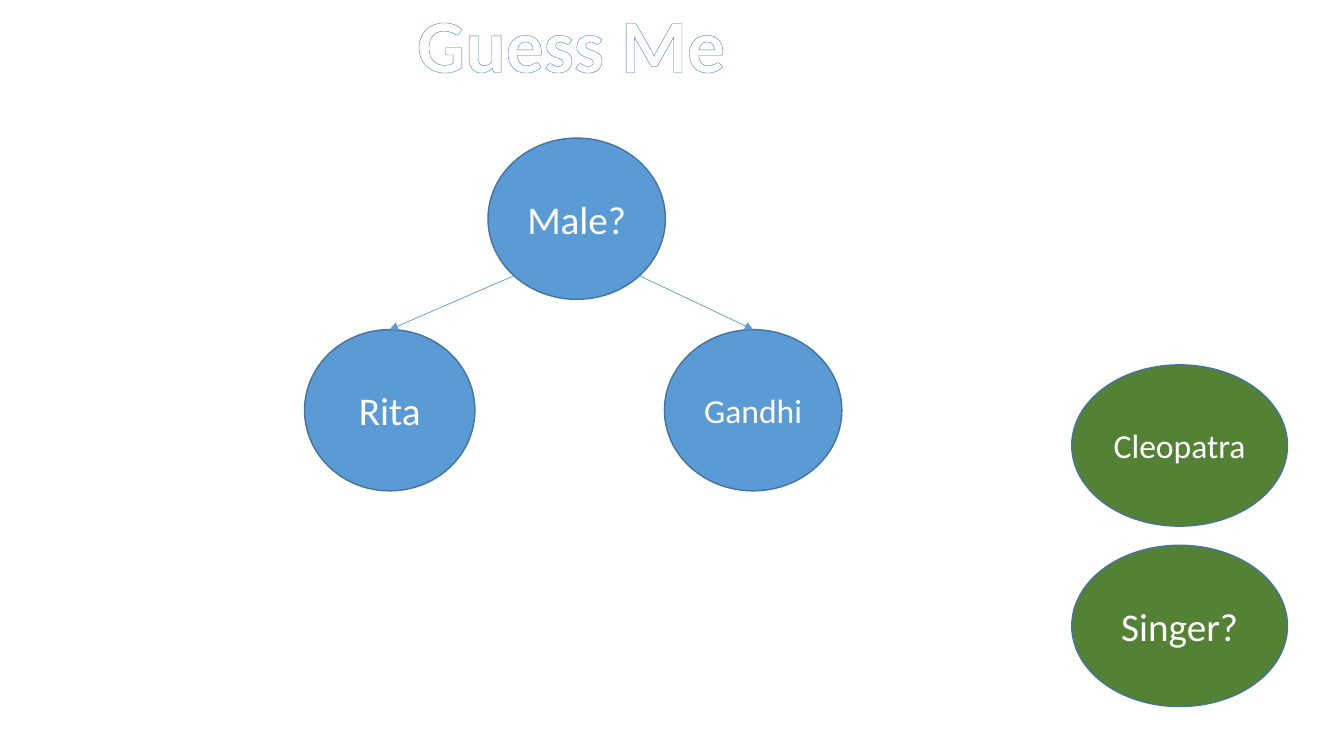
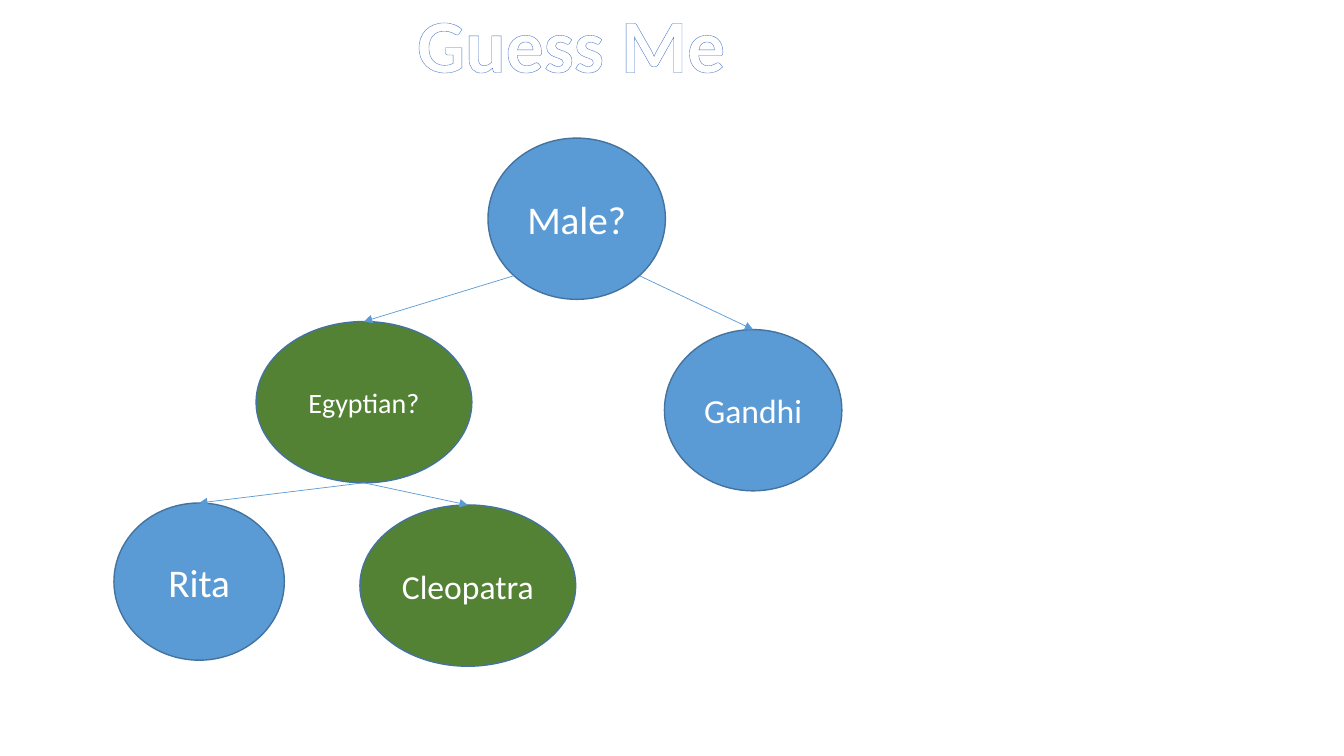
from math import sqrt
from typing import NamedTuple

from lxml.etree import SubElement
from pptx import Presentation
from pptx.dml.color import RGBColor
from pptx.enum.shapes import MSO_CONNECTOR, MSO_SHAPE
from pptx.enum.text import MSO_ANCHOR, MSO_AUTO_SIZE, PP_ALIGN
from pptx.oxml.ns import qn
from pptx.util import Pt

SCALE = 9144
PAGE_WIDTH, PAGE_HEIGHT = 1333, 750
COLOURS = {
    "answer": "5B9BD5",
    "guess": "548235",
    "rim": "43739E",
    "arrow": "5B9BD5",
    "text": "FFFFFF",
    "title_outline": "4472C4",
}
FONT = "Calibri"
TITLE_FORMAT = {"name": FONT, "size": Pt(54), "bold": True}
TITLE_OUTLINE = 10160
NODE_HEIGHT = 160
GUESS_WIDTH = 214
TRAY_GAP = 19


class Box(NamedTuple):
    """A rectangle in px."""
    left: int
    top: int
    width: int
    height: int


class Node(NamedTuple):
    """A circle of the tree, placed relative to the tree's box."""
    text: str
    size: int
    kind: str
    left: int
    top: int
    width: int
    height: int = NODE_HEIGHT


class Edge(NamedTuple):
    """An arrow from a side of one node to the top of another."""
    parent: str
    child: str
    side: str


TITLE_BOX = Box(402, -8, 329, 101)
TREE_BOX = Box(113, 137, 722, 524)
TRAY_BOX = Box(1063, 362, GUESS_WIDTH, 339)

MALE = Node("Male?", 28, "answer", 371, 0, 176)
GANDHI = Node("Gandhi", 24, "answer", 546, 190, 176)
TO_GANDHI = Edge("Male?", "Gandhi", "right")
DIAGONAL = sqrt(0.5)
SIDES = {"left": (-DIAGONAL, DIAGONAL), "right": (DIAGONAL, DIAGONAL), "bottom": (0, 1)}

SLIDES = [
    {
        "nodes": [MALE, Node("Rita", 28, "answer", 189, 190, 169), GANDHI],
        "edges": [Edge("Male?", "Rita", "left"), TO_GANDHI],
        "tray": [("Cleopatra", 24), ("Singer?", 28)],
    },
    {
        "nodes": [
            MALE,
            Node("Egyptian?", 20, "guess", 141, 182, GUESS_WIDTH),
            GANDHI,
            Node("Rita", 28, "answer", 0, 362, 169, 156),
            Node("Cleopatra", 24, "guess", 244, 364, GUESS_WIDTH),
        ],
        "edges": [
            Edge("Male?", "Egyptian?", "left"),
            TO_GANDHI,
            Edge("Egyptian?", "Cleopatra", "bottom"),
            Edge("Egyptian?", "Rita", "bottom"),
        ],
        "tray": [],
    },
]


def emu(*lengths):
    """Turn px into whole EMU."""
    return [round(length * SCALE) for length in lengths]


def colour(name):
    """Look up a colour of the deck."""
    return RGBColor.from_string(COLOURS[name])


def add_span(para, text, values):
    """Add centred text with the given font values."""
    para.alignment = PP_ALIGN.CENTER
    span = para.add_run()
    span.text = text
    for name, value in values.items():
        setattr(span.font, name, value)
    span.font.color.rgb = colour("text")
    return span


def add_title(page, box, text):
    """Add the outlined title."""
    frame = page.shapes.add_textbox(*emu(*box)).text_frame
    frame.word_wrap = False
    frame.auto_size = MSO_AUTO_SIZE.SHAPE_TO_FIT_TEXT
    span = add_span(frame.paragraphs[0], text, TITLE_FORMAT)
    properties = span.font._element
    outline = properties.makeelement(qn("a:ln"), {"w": str(TITLE_OUTLINE)})
    fill = SubElement(outline, qn("a:solidFill"))
    SubElement(fill, qn("a:srgbClr"), val=COLOURS["title_outline"])
    properties.insert(0, outline)


def add_node(page, box, text, size, kind):
    """Add one labelled ellipse filling the box."""
    shape = page.shapes.add_shape(MSO_SHAPE.OVAL, *emu(*box))
    shape.shadow.inherit = False
    shape.fill.solid()
    shape.fill.fore_color.rgb = colour(kind)
    shape.line.color.rgb = colour("rim")
    shape.line.width = Pt(1)
    frame = shape.text_frame
    frame.vertical_anchor = MSO_ANCHOR.MIDDLE
    add_span(frame.paragraphs[0], text, {"name": FONT, "size": Pt(size)})
    return shape


def add_arrow(page, parent, child, side):
    """Add an arrow from a point on the parent's rim to the child's top."""
    across, down = SIDES[side]
    start_x = round(parent.left + parent.width * (1 + across) / 2)
    start_y = round(parent.top + parent.height * (1 + down) / 2)
    arrow = page.shapes.add_connector(
        MSO_CONNECTOR.STRAIGHT, start_x, start_y, child.left + child.width // 2, child.top
    )
    arrow.end_connect(child, 0)
    arrow.line.color.rgb = colour("arrow")
    arrow.line.width = Pt(0.5)
    SubElement(arrow.line._get_or_add_ln(), qn("a:tailEnd"), type="triangle")
    SubElement(arrow._element.spPr, qn("a:effectLst"))


def add_tree(page, box, nodes, edges):
    """Add the decision tree inside the box."""
    shapes = {}
    for node in nodes:
        place = Box(box.left + node.left, box.top + node.top, node.width, node.height)
        shapes[node.text] = add_node(page, place, node.text, node.size, node.kind)
    for edge in edges:
        add_arrow(page, shapes[edge.parent], shapes[edge.child], edge.side)


def add_tray(page, box, guesses):
    """Stack the waiting guesses from the top of the box."""
    for index, (text, size) in enumerate(guesses):
        top = box.top + index * (NODE_HEIGHT + TRAY_GAP)
        add_node(page, Box(box.left, top, box.width, NODE_HEIGHT), text, size, "guess")


def main():
    """Build and save the deck."""
    deck = Presentation()
    deck.slide_width, deck.slide_height = emu(PAGE_WIDTH, PAGE_HEIGHT)
    for content in SLIDES:
        page = deck.slides.add_slide(deck.slide_layouts[6])
        add_tray(page, TRAY_BOX, content["tray"])
        add_title(page, TITLE_BOX, "Guess Me")
        add_tree(page, TREE_BOX, content["nodes"], content["edges"])
    deck.save("out.pptx")


if __name__ == "__main__":
    main()
